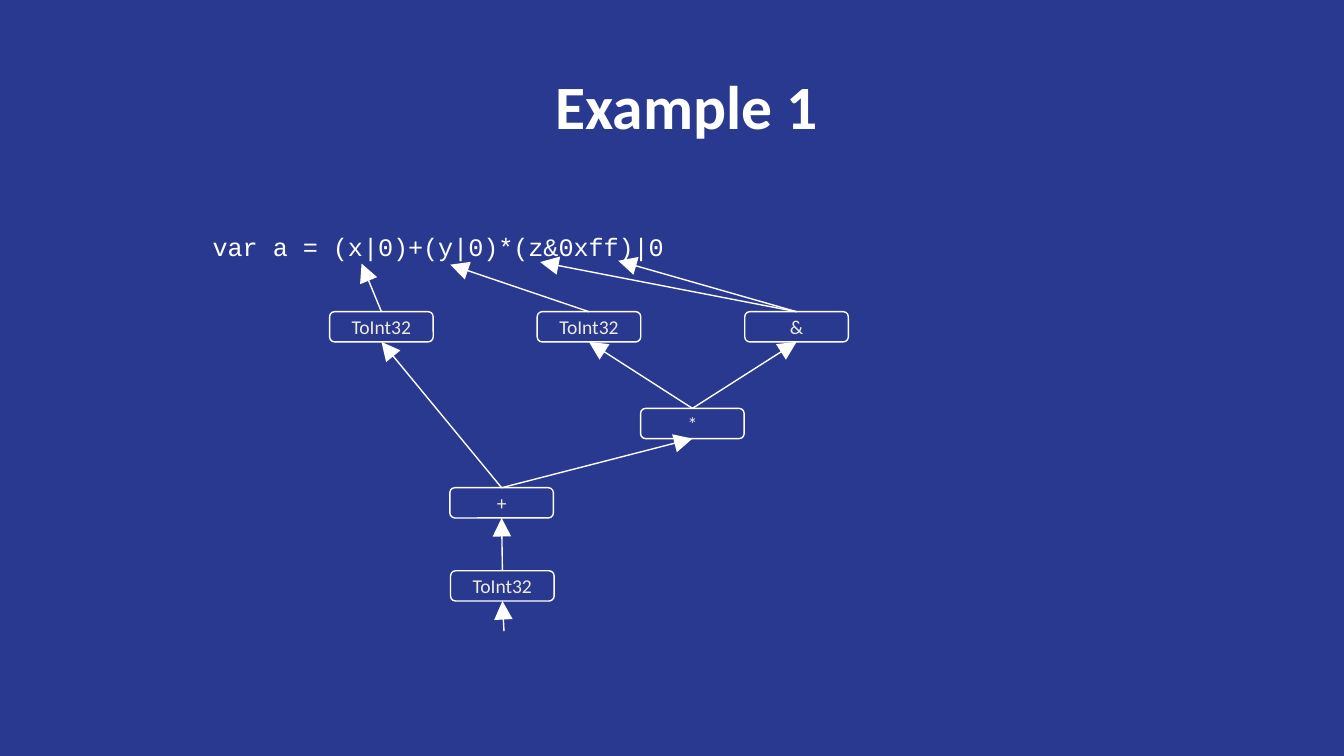
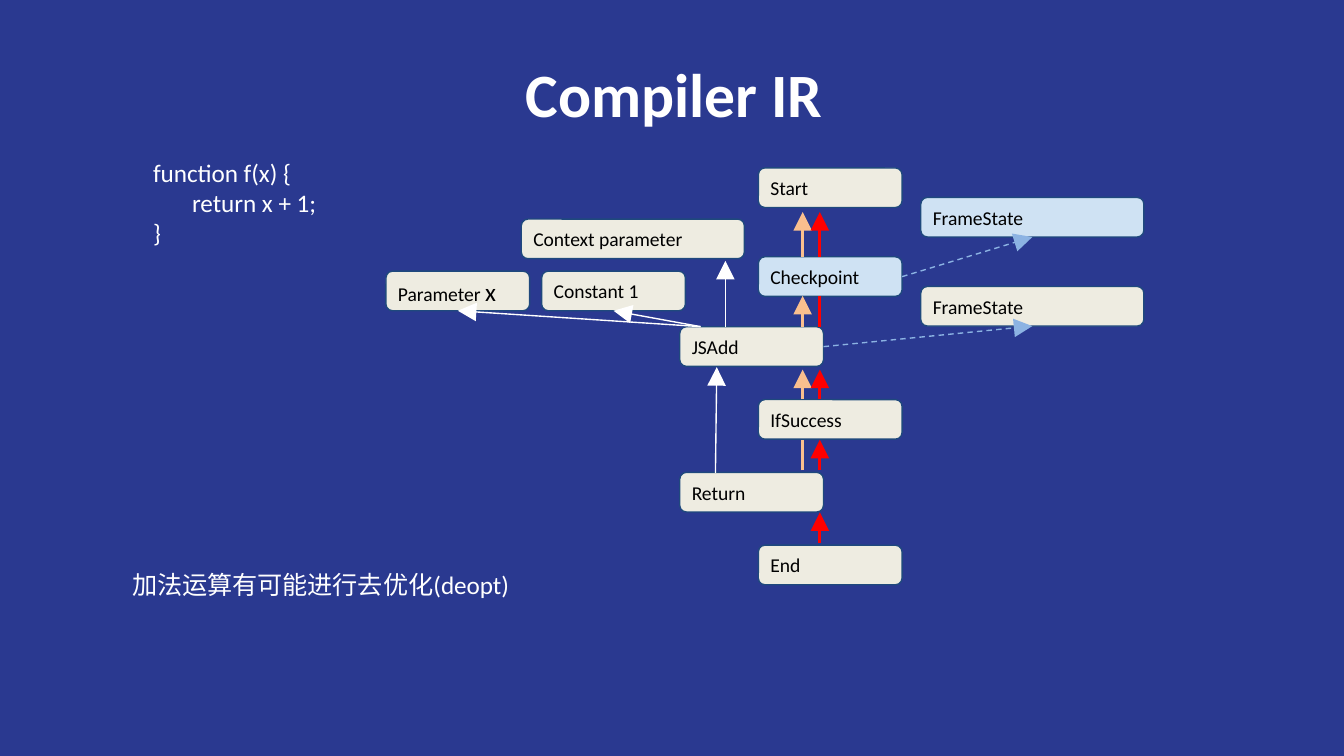
from dataclasses import dataclass
from typing import Any, NamedTuple, Optional

from lxml.etree import SubElement
from pptx import Presentation
from pptx.dml.color import RGBColor
from pptx.enum.dml import MSO_LINE
from pptx.enum.shapes import MSO_CONNECTOR, MSO_SHAPE
from pptx.enum.text import MSO_ANCHOR, PP_ALIGN
from pptx.oxml.ns import qn
from pptx.util import Pt

NAVY = RGBColor(0x2A, 0x39, 0x90)
WHITE = RGBColor(0xFF, 0xFF, 0xFF)
BLACK = RGBColor(0x00, 0x00, 0x00)
CREAM = RGBColor(0xEE, 0xEC, 0xE1)
SKY = RGBColor(0xCF, 0xE2, 0xF3)
STEEL = RGBColor(0x1F, 0x49, 0x7D)
PEACH = RGBColor(0xFA, 0xBF, 0x8E)
RED = RGBColor(0xFF, 0x00, 0x00)
DASH_BLUE = RGBColor(0x8C, 0xB3, 0xE3)

BODY_FONT, CODE_FONT = "Calibri", "Courier New"
INSET = 5.4
TITLE_SIZE, TEXT_SIZE, NODE_SIZE = 33, 13.5, 10.5


class Point(NamedTuple):
    x: float
    y: float


@dataclass
class Node:
    """A rounded box of a graph, with its connection points."""
    text: str
    x: float
    y: float
    w: float
    h: float
    fill: Optional[RGBColor] = None
    line: RGBColor = WHITE
    color: RGBColor = CREAM
    align: Any = PP_ALIGN.CENTER
    large_tail: str = ""

    @property
    def top(self) -> Point:
        return Point(self.x + self.w / 2, self.y)

    @property
    def bottom(self) -> Point:
        return Point(self.x + self.w / 2, self.y + self.h)

    @property
    def right(self) -> Point:
        return Point(self.x + self.w, self.y + self.h / 2)


@dataclass
class Arrow:
    start: Point
    end: Point
    color: RGBColor = WHITE
    width: float = 0.75
    head: bool = True
    dashed: bool = False


@dataclass
class TextLine:
    text: str
    indent: float = 0


def apply(target: Any, values: dict) -> None:
    for name, value in values.items():
        setattr(target, name, value)


def set_frame(tf, anchor) -> None:
    apply(tf, {"word_wrap": True, "vertical_anchor": anchor,
               "margin_left": Pt(INSET), "margin_right": Pt(INSET),
               "margin_top": Pt(INSET), "margin_bottom": Pt(INSET)})


def add_run(p, text: str, size: float, color: RGBColor = WHITE,
            font: str = BODY_FONT, bold: bool = False) -> None:
    r = p.add_run()
    r.text = text
    apply(r.font, {"size": Pt(size), "name": font, "bold": bold})
    r.font.color.rgb = color


def add_frame(s, x: float, y: float, w: float, h: float):
    tf = s.shapes.add_textbox(Pt(x), Pt(y), Pt(w), Pt(h)).text_frame
    set_frame(tf, MSO_ANCHOR.TOP)
    return tf


def add_text(s, x: float, y: float, w: float, h: float,
             lines: list[TextLine], font: str = BODY_FONT) -> None:
    tf = add_frame(s, x, y, w, h)
    for i, line in enumerate(lines):
        p = tf.add_paragraph() if i else tf.paragraphs[0]
        if line.indent:
            p._p.get_or_add_pPr().set("marL", str(Pt(line.indent)))
        add_run(p, line.text, TEXT_SIZE, font=font)


def add_slide(prs, title: str, x: float, y: float, w: float, h: float):
    """Blank slide with the shared background and title style."""
    s = prs.slides.add_slide(prs.slide_layouts[6])
    s.background.fill.solid()
    s.background.fill.fore_color.rgb = NAVY
    p = add_frame(s, x, y, w, h).paragraphs[0]
    p.alignment = PP_ALIGN.CENTER
    add_run(p, title, TITLE_SIZE, bold=True)
    return s


def add_node(s, node: Node) -> None:
    sp = s.shapes.add_shape(MSO_SHAPE.ROUNDED_RECTANGLE, Pt(node.x), Pt(node.y),
                            Pt(node.w), Pt(node.h))
    sp.shadow.inherit = False
    if node.fill is None:
        sp.fill.background()
    else:
        sp.fill.solid()
        sp.fill.fore_color.rgb = node.fill
    sp.line.color.rgb = node.line
    sp.line.width = Pt(0.75)
    set_frame(sp.text_frame, MSO_ANCHOR.MIDDLE)
    p = sp.text_frame.paragraphs[0]
    p.alignment = node.align
    add_run(p, node.text, NODE_SIZE, node.color)
    if node.large_tail:
        add_run(p, node.large_tail, TEXT_SIZE, node.color)


def add_arrow(s, arrow: Arrow) -> None:
    a, b = arrow.start, arrow.end
    sp = s.shapes.add_connector(MSO_CONNECTOR.STRAIGHT, Pt(a.x), Pt(a.y), Pt(b.x), Pt(b.y))
    sp.line.color.rgb = arrow.color
    sp.line.width = Pt(arrow.width)
    if arrow.dashed:
        sp.line.dash_style = MSO_LINE.DASH
    if arrow.head:
        SubElement(sp.line._get_or_add_ln(), qn("a:tailEnd"), type="triangle", w="lg", len="lg")
    SubElement(sp._element.spPr, qn("a:effectLst"))


def draw_graph(s, nodes: list[Node], arrows: list[Arrow]) -> None:
    for node in nodes:
        add_node(s, node)
    for arrow in arrows:
        add_arrow(s, arrow)


def build_example(prs) -> None:
    s = add_slide(prs, "Example 1", 108.7, 31, 518.4, 62)
    add_text(s, 108.5, 118.8, 503.3, 26.6,
             [TextLine("var a = (x|0)+(y|0)*(z&0xff)|0")], CODE_FONT)

    def op(text: str, x: float, y: float) -> Node:
        return Node(text, x, y, 55.5, 16.2)

    # Operators, from the operands down to the result
    to_x, to_y, mask = [op(text, 176.6 + 111.2 * i, 167)
                        for i, text in enumerate(("ToInt32", "ToInt32", "&"))]
    times = op("*", 343.2, 218.8)
    plus = op("+", 241, 261.3)
    result = op("ToInt32", 241.4, 305.8)

    # Each operator points at its inputs
    links = [(plus, to_x), (plus, times), (times, to_y), (times, mask), (result, plus)]
    arrows = [Arrow(a.top, b.bottom) for a, b in links]
    operands = [(to_x, 193.7, 141.2), (to_y, 241.2, 141.8),
                (mask, 289.4, 140.4), (mask, 331.2, 139.7)]
    arrows += [Arrow(node.top, Point(x, y)) for node, x, y in operands]
    arrows.append(Arrow(Point(270, 338.2), result.bottom))
    draw_graph(s, [to_x, to_y, mask, times, plus, result], arrows)


def build_ir(prs) -> None:
    s = add_slide(prs, "Compiler IR", 109.4, 24.5, 503.3, 54)
    add_text(s, 58.3, 78.8, 156.2, 66.2,
             [TextLine("function f(x) {", 18.3), TextLine("return x + 1;", 39.2),
              TextLine("}", 18.3)])
    add_text(s, 65.5, 299.5, 318.2, 31, [TextLine("加法运算有可能进行去优化(deopt)")])

    def ir(text: str, x: float, y: float, w: float = 77,
           fill: RGBColor = CREAM, large_tail: str = "") -> Node:
        return Node(text, x, y, w, 21.2, fill, STEEL, BLACK, PP_ALIGN.LEFT, large_tail)

    # Two columns of nodes, the lower four at equal steps
    left, right, wide, step = 364.2, 406.3, 119.5, 39
    add_y = 175.1
    js_add = ir("JSAdd", left, add_y)
    if_success = ir("IfSuccess", right, add_y + step)
    ret = ir("Return", left, add_y + 2 * step)
    end = ir("End", right, add_y + 3 * step)
    start = ir("Start", right, 90)
    checkpoint = ir("Checkpoint", right, 137.6, fill=SKY)
    param = ir("Parameter ", 206.8, 145.3, large_tail="x")
    const = ir("Constant 1", 290.2, 145.3)
    context = ir("Context parameter", 279.3, 117.4, wide)
    state_before = ir("FrameState", 493.3, 105.8, wide, SKY)
    state_after = ir("FrameState", 493.3, 153.5, wide)

    # Value inputs and frame states
    corner = Point(375.3, 175)
    arrows = [Arrow(corner, param.bottom), Arrow(corner, const.bottom),
              Arrow(Point(383.3, 253.3), Point(384, 196.7)),
              Arrow(Point(388.6, 175), Point(388.6, 139.8))]
    arrows += [Arrow(a.right, b.bottom, DASH_BLUE, dashed=True)
               for a, b in ((js_add, state_after), (checkpoint, state_before))]

    # Effect and control chains: from y, to y, arrowhead
    effect = [(214, 198, True), (252, 235.6, False), (175, 158.5, True), (137.6, 113.6, True)]
    control = [(214, 198, True), (252, 235.6, True), (291, 274.5, True),
               (175, 158.5, False), (137.6, 113.6, True)]
    for x, color, chain in ((430, PEACH, effect), (439.2, RED, control)):
        arrows += [Arrow(Point(x, y1), Point(x, y2), color, 1.5, head)
                   for y1, y2, head in chain]
    draw_graph(s, [param, js_add, const, if_success, ret, start, end, context,
                   state_after, state_before, checkpoint], arrows)


def main() -> None:
    prs = Presentation()
    prs.slide_width, prs.slide_height = Pt(720), Pt(405)
    build_example(prs)
    build_ir(prs)
    prs.save("out.pptx")


if __name__ == "__main__":
    main()
